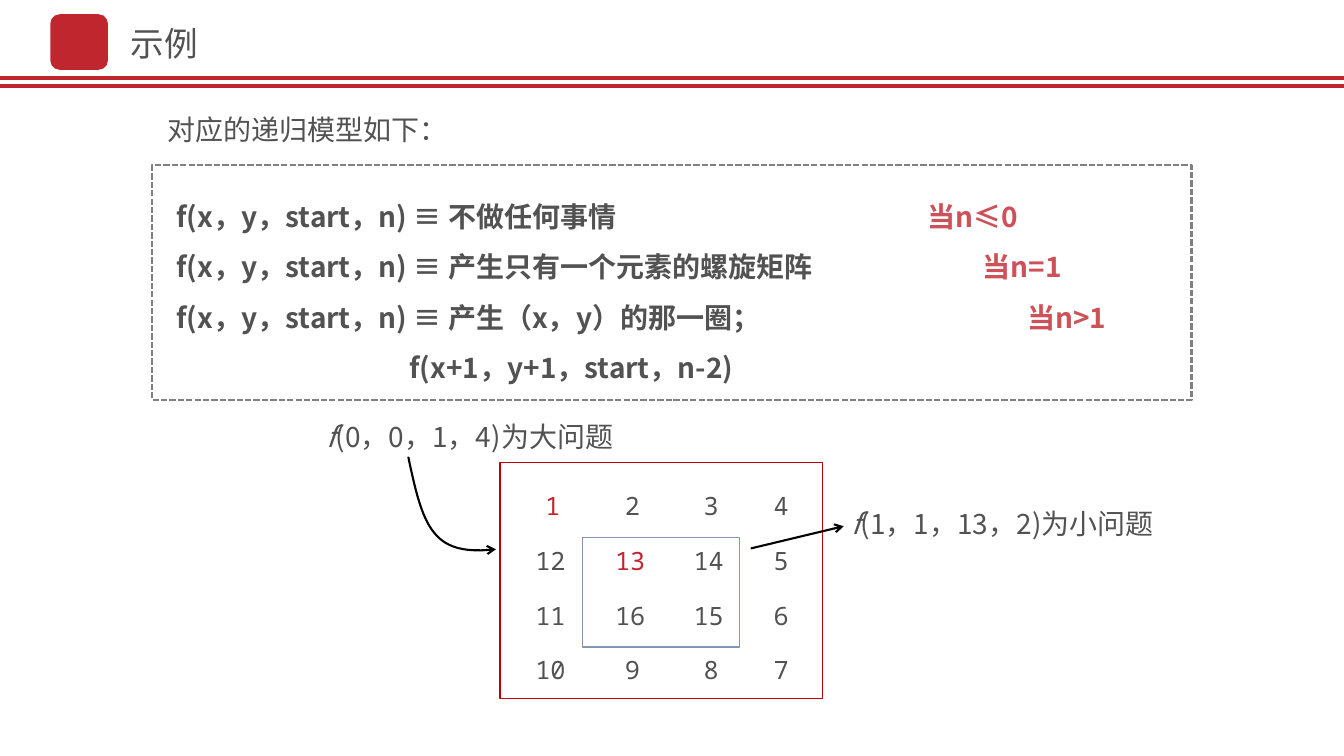
from lxml.etree import SubElement
from pptx import Presentation
from pptx.dml.color import RGBColor
from pptx.enum.dml import MSO_LINE
from pptx.enum.shapes import MSO_CONNECTOR, MSO_SHAPE
from pptx.enum.text import MSO_ANCHOR
from pptx.oxml.ns import qn
from pptx.util import Cm, Pt

RED = RGBColor(0xC0, 0x26, 0x2E)
SOFT_RED = RGBColor(0xCD, 0x51, 0x58)
FRAME_RED = RGBColor(0xC0, 0x00, 0x00)
STEEL = RGBColor(0x84, 0x97, 0xB0)
GREY = RGBColor(0x80, 0x80, 0x80)
TEXT = RGBColor(0x52, 0x52, 0x52)
BLACK = RGBColor(0x00, 0x00, 0x00)
SANS = "Noto Sans CJK SC"
MONO = "Noto Sans Mono"

# Left part, condition, and the tab stop in cm of whatever follows the tab
MODEL = [
    ("f(x，y，start，n) ≡ 不做任何事情\t", "当n≤0", 18.92),
    ("f(x，y，start，n) ≡ 产生只有一个元素的螺旋矩阵\t", "当n=1", 20.32),
    ("f(x，y，start，n) ≡ 产生（x，y）的那一圈；\t", "当n>1", 21.44),
    ("\tf(x+1，y+1，start，n-2)", "", 5.87),
]
SPIRAL = [[1, 2, 3, 4], [12, 13, 14, 5], [11, 16, 15, 6], [10, 9, 8, 7]]
COLUMNS = [0.89, 2.9, 4.88, 6.65]
ROWS = [0.56, 1.96, 3.35, 4.7]
SUBPROBLEM_STARTS = (1, 13)


def add_span(para, text, size, color=TEXT, name=SANS, bold=False, italic=False):
    span = para.add_run()
    span.text = text
    font = span.font
    font.size, font.name, font.bold, font.italic = Pt(size), name, bold, italic
    font.color.rgb = color
    SubElement(font._element, qn("a:ea"), typeface=name)


def add_label(slide, left, top, width, height, inset=0.25, wrap=True):
    """Add an empty text box, sized in cm, and return its paragraph."""
    box = slide.shapes.add_textbox(Cm(left), Cm(top), Cm(width), Cm(height))
    frame = box.text_frame
    frame.word_wrap = wrap
    frame.vertical_anchor = MSO_ANCHOR.MIDDLE
    frame.margin_left = frame.margin_right = Cm(inset)
    return frame.paragraphs[0]


def add_frame(slide, left, top, width, height, color, weight):
    frame = slide.shapes.add_shape(
        MSO_SHAPE.RECTANGLE, Cm(left), Cm(top), Cm(width), Cm(height))
    frame.shadow.inherit = False
    frame.fill.background()
    frame.line.color.rgb = color
    frame.line.width = Pt(weight)
    return frame


def add_line(slide, x1, y1, x2, y2, color, weight):
    line = slide.shapes.add_connector(
        MSO_CONNECTOR.STRAIGHT, Cm(x1), Cm(y1), Cm(x2), Cm(y2))
    line.line.color.rgb = color
    line.line.width = Pt(weight)
    SubElement(line._element.spPr, qn("a:effectLst"))
    return line


def add_arrowhead(shape):
    SubElement(shape.line._get_or_add_ln(), qn("a:tailEnd"), type="arrow")


def add_curved_arrow(slide, controls, steps=24):
    """Draw the cubic curve given by four control points in cm."""
    points = []
    for step in range(steps + 1):
        t = step / steps
        weights = ((1 - t) ** 3, 3 * t * (1 - t) ** 2, 3 * t * t * (1 - t), t ** 3)
        points.append(tuple(
            Cm(sum(w * point[axis] for w, point in zip(weights, controls)))
            for axis in (0, 1)))
    builder = slide.shapes.build_freeform(*points[0])
    builder.add_line_segments(points[1:], close=False)
    curve = builder.convert_to_shape()
    curve.shadow.inherit = False
    curve.fill.background()
    curve.line.color.rgb = BLACK
    curve.line.width = Pt(1.5)
    add_arrowhead(curve)


def add_header(slide, width):
    for y in (1.96, 2.16):
        add_line(slide, 0, y, width, y, RED, 3)
    badge = slide.shapes.add_shape(
        MSO_SHAPE.ROUNDED_RECTANGLE, Cm(1.27), Cm(0.36), Cm(1.45), Cm(1.4))
    badge.shadow.inherit = False
    badge.fill.solid()
    badge.fill.fore_color.rgb = RED
    badge.line.fill.background()
    add_span(add_label(slide, 3.05, 0.46, 2.21, 1.27, wrap=False), "示例", 24)


def add_model(slide, left, top, width, height):
    add_span(add_label(slide, left + 0.12, top - 1.48, 11.51, 1.12),
             "对应的递归模型如下：", 20)
    box = add_frame(slide, left, top, width, height, GREY, 1.5)
    box.line.dash_style = MSO_LINE.SQUARE_DOT
    frame = box.text_frame
    frame.word_wrap = True
    frame.vertical_anchor = MSO_ANCHOR.TOP
    frame.margin_left, frame.margin_right = Cm(0.61), Cm(0.25)
    frame.margin_top = frame.margin_bottom = Cm(0.43)
    for index, (rule, condition, stop) in enumerate(MODEL):
        para = frame.add_paragraph() if index else frame.paragraphs[0]
        tabs = SubElement(para._p.get_or_add_pPr(), qn("a:tabLst"))
        SubElement(tabs, qn("a:tab"), pos=str(Cm(stop)), algn="l")
        para.alignment = 1
        para.line_spacing = Pt(36)
        add_span(para, rule, 20, bold=True)
        if condition:
            add_span(para, condition, 20, SOFT_RED, bold=True)


def add_spiral(slide, left, top, width, height):
    for row, numbers in zip(ROWS, SPIRAL):
        for column, number in zip(COLUMNS, numbers):
            para = add_label(slide, left + column, top + row, 1.19, 1.02,
                             inset=0 if number > 9 else 0.25)
            color = RED if number in SUBPROBLEM_STARTS else TEXT
            add_span(para, str(number), 18, color, MONO)
    add_frame(slide, left, top, width, height, FRAME_RED, 1)
    add_frame(slide, left + 2.08, top + 1.88, 3.96, 2.77, STEEL, 1)


def add_problem(slide, left, top, width, arguments):
    para = add_label(slide, left, top, width, 1.12)
    add_span(para, "f", 20, italic=True)
    add_span(para, arguments, 20)


def main():
    deck = Presentation()
    deck.slide_width, deck.slide_height = Cm(33.87), Cm(19.05)
    slide = deck.slides.add_slide(deck.slide_layouts[6])
    add_header(slide, 33.87)
    add_model(slide, 3.84, 4.17, 26.19, 5.92)
    add_spiral(slide, 12.6, 11.66, 8.13, 5.94)
    add_problem(slide, 7.98, 10.44, 9.32, "(0，0，1，4)为大问题")
    add_problem(slide, 21.21, 12.62, 9.55, "(1，1，13，2)为小问题")
    add_curved_arrow(
        slide, [(10.29, 11.51), (10.67, 13.34), (10.92, 14.02), (12.5, 13.84)])
    add_arrowhead(add_line(slide, 18.92, 13.82, 21.26, 13.26, BLACK, 1.5))
    deck.save("out.pptx")


if __name__ == "__main__":
    main()
